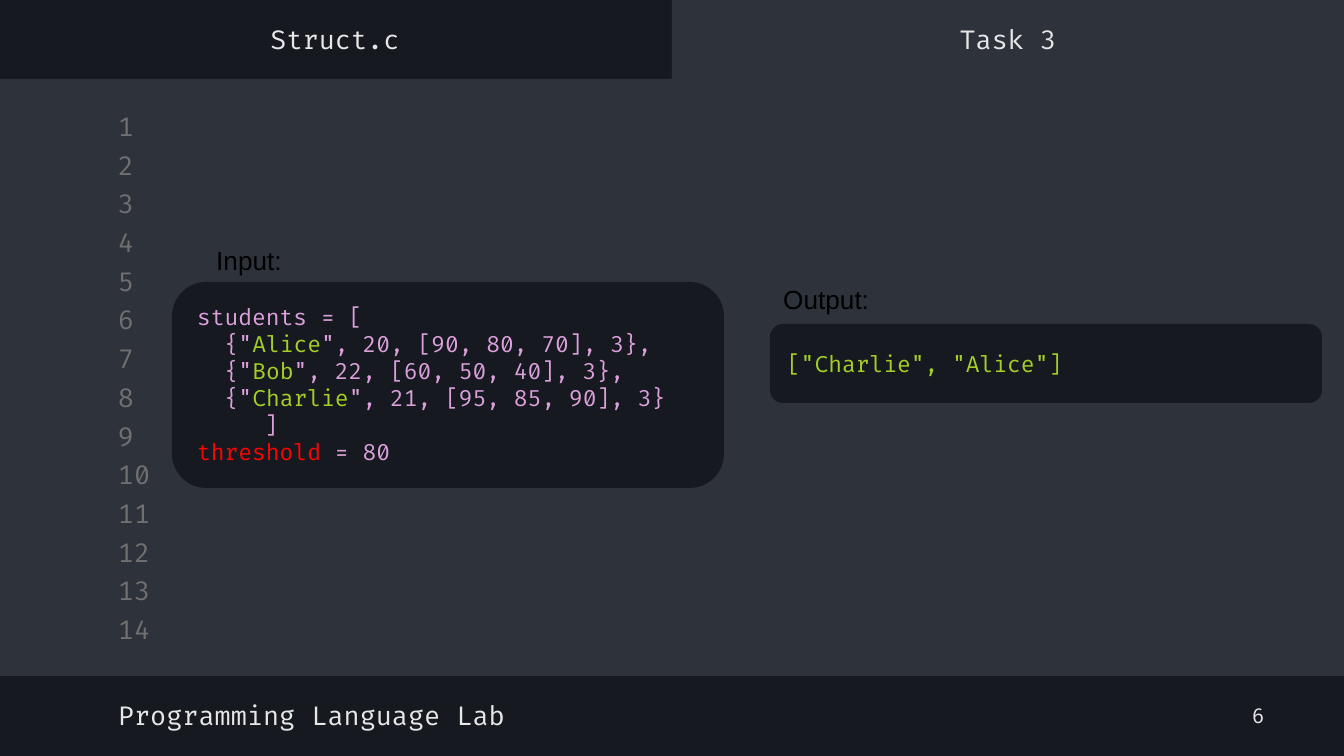
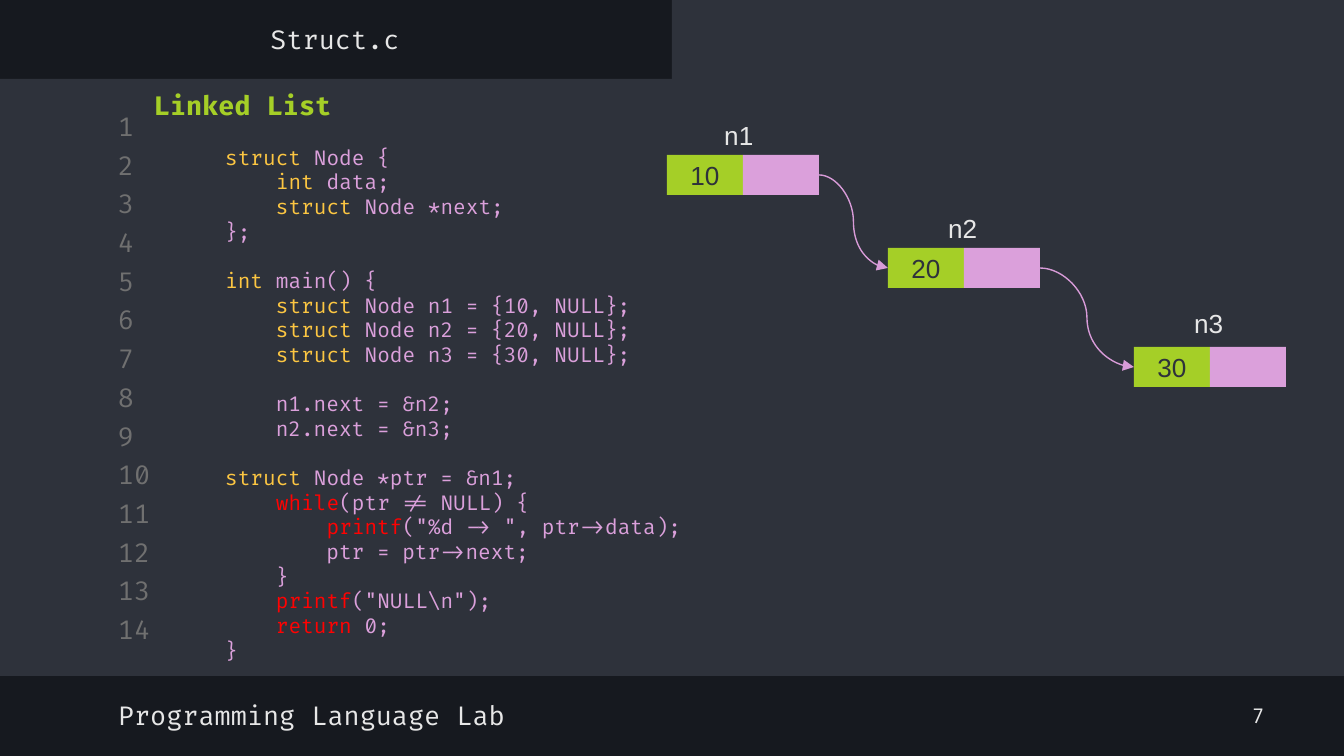
from dataclasses import dataclass

from lxml.etree import SubElement
from pptx import Presentation
from pptx.dml.color import RGBColor
from pptx.enum.shapes import MSO_CONNECTOR as Connector, MSO_SHAPE as Shape
from pptx.enum.text import MSO_ANCHOR as Anchor, MSO_AUTO_SIZE as AutoSize, PP_ALIGN as Align
from pptx.oxml.ns import qn
from pptx.util import Emu, Pt

PX = 914400 / 134.4


@dataclass(frozen=True)
class Theme:
    dark: str = "16191F"
    panel: str = "2E323B"
    light: str = "E7E7E7"
    muted: str = "707070"
    black: str = "000000"
    green: str = "A5CF27"
    pink: str = "DBA0DB"
    arrow: str = "D89BD8"
    red: str = "FF0202"
    yellow: str = "FCC642"
    mono: str = "Fira Code"
    sans: str = "Arial"
    normal: int = 14
    code: int = 12
    small: int = 11


THEME = Theme()
MONO_LINE_HEIGHT = 1.2

STUDENTS_CODE = """students = [
  {"Alice", 20, [90, 80, 70], 3},
  {"Bob", 22, [60, 50, 40], 3},
  {"Charlie", 21, [95, 85, 90], 3}
\t]
threshold = 80"""
STUDENTS_COLORS = {"Alice": THEME.green, "Bob": THEME.green,
                   "Charlie": THEME.green, "threshold": THEME.red}

LIST_CODE = r"""struct Node {
    int data;
    struct Node *next;
};

int main() {
    struct Node n1 = {10, NULL};
    struct Node n2 = {20, NULL};
    struct Node n3 = {30, NULL};

    n1.next = &n2;
    n2.next = &n3;

struct Node *ptr = &n1;
    while(ptr != NULL) {
        printf("%d -> ", ptr->data);
        ptr = ptr->next;
    }
    printf("NULL\n");
    return 0;
}"""
# printf comes before int, which it contains
LIST_COLORS = {"printf": THEME.red, "while": THEME.red, "return": THEME.red,
               "struct": THEME.yellow, "int": THEME.yellow}

# name, value, node left and top, label left and top
LIST_NODES = [
    ("n1", "10", (667, 155), (711, 113)),
    ("n2", "20", (888, 248), (935, 206)),
    ("n3", "30", (1134, 347), (1181, 301)),
]
CELL_WIDTH, CELL_HEIGHT = 76, 40


def px(length):
    return Emu(round(length * PX))


def rgb(color):
    return RGBColor.from_string(color)


# Text
def style_font(font, color, size=THEME.normal, name=THEME.mono, bold=False):
    font.name = name
    font.size = Pt(size)
    font.bold = bold
    font.color.rgb = rgb(color)


def write_text(shape, text, color, align=Align.LEFT, anchor=Anchor.MIDDLE, **font_style):
    frame = shape.text_frame
    frame.text = text
    frame.vertical_anchor = anchor
    paragraph = frame.paragraphs[0]
    paragraph.alignment = align
    paragraph.space_before = Pt(0)
    style_font(paragraph.runs[0].font, color, **font_style)


def even_margins(frame):
    frame.word_wrap = True
    frame.auto_size = AutoSize.NONE
    frame.margin_left = frame.margin_right = px(13)
    frame.margin_top = frame.margin_bottom = px(13)


def add_text(slide, box, text, color, **style):
    shape = slide.shapes.add_textbox(*map(px, box))
    even_margins(shape.text_frame)
    write_text(shape, text, color, **style)


def add_label(slide, box, text, color, wrap=True):
    shape = slide.shapes.add_textbox(*map(px, box))
    shape.text_frame.word_wrap = wrap
    shape.text_frame.auto_size = AutoSize.SHAPE_TO_FIT_TEXT
    write_text(shape, text, color, anchor=Anchor.TOP, name=THEME.sans)


def fill_placeholder(shape, box, text, align):
    shape.left, shape.top, shape.width, shape.height = map(px, box)
    even_margins(shape.text_frame)
    write_text(shape, text, THEME.light, align)


# Code
def color_pieces(line, colors):
    """Split a line into (text, color) pieces, coloring the given words."""
    pieces = [(line, THEME.pink)]
    for word, color in colors.items():
        split = []
        for text, current in pieces:
            if current != THEME.pink:
                split.append((text, current))
                continue
            for index, part in enumerate(text.split(word)):
                if index:
                    split.append((word, color))
                if part:
                    split.append((part, THEME.pink))
        pieces = split
    return pieces


def add_code(slide, box, code, colors, size):
    shape = slide.shapes.add_textbox(*map(px, box))
    frame = shape.text_frame
    frame.word_wrap = True
    frame.auto_size = AutoSize.SHAPE_TO_FIT_TEXT
    for block_index, block in enumerate(code.split("\n\n")):
        for line_index, line in enumerate(block.split("\n")):
            first = block_index == line_index == 0
            paragraph = frame.paragraphs[0] if first else frame.add_paragraph()
            if block_index and not line_index:
                paragraph.space_before = Pt(size * MONO_LINE_HEIGHT)
            for text, color in color_pieces(line, colors):
                run = paragraph.add_run()
                run.text = text
                style_font(run.font, color, size)


# Shapes
def add_box(slide, box, color, kind=Shape.RECTANGLE):
    shape = slide.shapes.add_shape(kind, *map(px, box))
    shape.shadow.inherit = False
    shape.fill.solid()
    shape.fill.fore_color.rgb = rgb(color)
    shape.line.fill.background()
    return shape


def add_arrow(slide, source, target):
    arrow = slide.shapes.add_connector(Connector.CURVE, 0, 0, 0, 0)
    arrow.begin_connect(source, 3)
    arrow.end_connect(target, 1)
    arrow.line.color.rgb = rgb(THEME.arrow)
    arrow.line.width = Pt(0.75)
    SubElement(arrow.line._get_or_add_ln(), qn("a:tailEnd"), type="triangle")
    SubElement(arrow._element.spPr, qn("a:effectLst"))


def add_node(slide, name, value, position, label_position):
    left, top = position
    data = add_box(slide, (left, top, CELL_WIDTH, CELL_HEIGHT), THEME.green)
    write_text(data, value, THEME.panel, Align.CENTER, name=THEME.sans)
    pointer = add_box(slide, (left + CELL_WIDTH, top, CELL_WIDTH, CELL_HEIGHT), THEME.pink)
    add_label(slide, (*label_position, 57, 46), name, THEME.light, wrap=False)
    return data, pointer


# Editor window shared by the slides
def add_editor_slide(presentation, number):
    slide = presentation.slides.add_slide(presentation.slide_layouts[0])
    title, footer = slide.placeholders
    add_box(slide, (0, 79, 1344, 597), THEME.panel)
    add_box(slide, (672, 0, 672, 87), THEME.panel)
    for index in range(14):
        top = 110 + round(503 * index / 13)
        add_text(slide, (105, top, 63, 32), str(index + 1), THEME.muted)
    fill_placeholder(footer, (105, 689, 715, 52), "Programming Language Lab", Align.LEFT)
    fill_placeholder(title, (-1, 13, 672, 52), "Struct.c", Align.CENTER)
    add_text(slide, (1239, 689, 47, 52), str(number), THEME.light, size=THEME.small)
    return slide


def build_task(presentation):
    slide = add_editor_slide(presentation, 6)
    add_text(slide, (672, 13, 672, 52), "Task 3", THEME.light, align=Align.CENTER)
    add_box(slide, (172, 282, 552, 206), THEME.dark, Shape.ROUNDED_RECTANGLE)
    add_code(slide, (184, 297, 507, 176), STUDENTS_CODE, STUDENTS_COLORS, THEME.code)
    output = add_box(slide, (770, 324, 552, 79), THEME.dark, Shape.ROUNDED_RECTANGLE)
    write_text(output, '["Charlie", "Alice"]', THEME.green, size=THEME.code)
    add_label(slide, (203, 238, 141, 46), "Input:", THEME.black)
    add_label(slide, (770, 277, 141, 46), "Output:", THEME.black)


def build_linked_list(presentation):
    slide = add_editor_slide(presentation, 7)
    add_text(slide, (141, 87, 1001, 36), "Linked List", THEME.green, bold=True)
    add_code(slide, (212, 138, 790, 536), LIST_CODE, LIST_COLORS, THEME.small)
    nodes = [add_node(slide, *node) for node in LIST_NODES]
    for (_, pointer), (data, _) in zip(nodes, nodes[1:]):
        add_arrow(slide, pointer, data)


def main():
    presentation = Presentation()
    presentation.slide_width, presentation.slide_height = px(1344), px(756)
    background = presentation.slide_master.background.fill
    background.solid()
    background.fore_color.rgb = rgb(THEME.dark)
    build_task(presentation)
    build_linked_list(presentation)
    presentation.save("out.pptx")


if __name__ == "__main__":
    main()
